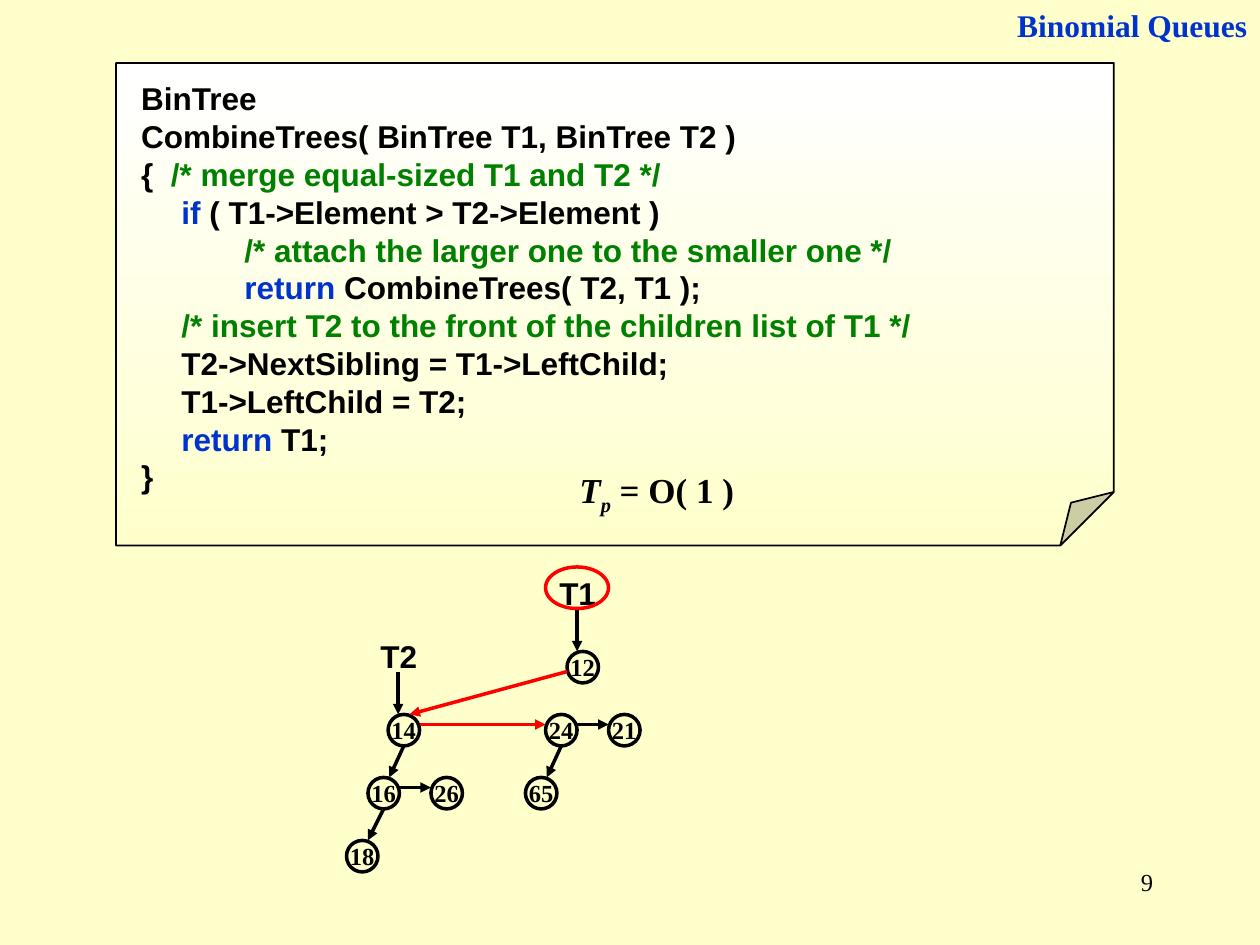
from pptx import Presentation
from pptx.dml.color import RGBColor
from pptx.enum.shapes import MSO_CONNECTOR as Connector, MSO_SHAPE as Shape
from pptx.enum.text import MSO_ANCHOR as Anchor, MSO_AUTO_SIZE as AutoSize, PP_ALIGN as Align
from pptx.oxml.ns import qn
from pptx.util import Inches, Pt
from lxml.etree import SubElement

COLORS = {
    "cream": "FFFFCC", "white": "FFFFFF", "black": "000000",
    "blue": "0033CC", "green": "008000", "red": "FF0000",
}
SERIF, SANS = "Times New Roman", "Arial"
NODE = 0.25

CODE = [
    [("BinTree", "black")],
    [("CombineTrees( BinTree T1, BinTree T2 )", "black")],
    [("{  ", "black"), ("/* merge equal-sized T1 and T2 */", "green")],
    [("\t", "black"), ("if", "blue"), (" ( T1->Element > T2->Element )", "black")],
    [("\t\t/* attach the larger one to the smaller one */", "green")],
    [("\t\t", "black"), ("return", "blue"), (" CombineTrees( T2, T1 );", "black")],
    [("\t/* insert T2 to the front of the children list of T1 */", "green")],
    [("\tT2->NextSibling = T1->LeftChild;", "black")],
    [("\tT1->LeftChild = T2;", "black")],
    [("\t", "black"), ("return", "blue"), (" T1;", "black")],
    [("}", "black")],
]
NODES = {
    "12": (4.5, 5.17), "24": (4.33, 5.67), "21": (4.83, 5.67), "65": (4.17, 6.17),
    "14": (3.08, 5.67), "16": (2.92, 6.17), "26": (3.42, 6.17), "18": (2.75, 6.67),
}
ROOTS = {"T1": "12", "T2": "14"}
CHILDREN = [("24", "65"), ("14", "16"), ("16", "18")]
SIBLINGS = [("24", "21"), ("16", "26")]


def rgb(name):
    """Return the named colour."""
    return RGBColor.from_string(COLORS[name])


def add_span(para, text, size, font=SERIF, color="black", bold=True, italic=False):
    """Append a formatted run to a paragraph."""
    span = para.add_run()
    span.text = text
    span.font.size = Pt(size)
    span.font.name = font
    span.font.bold = bold
    span.font.italic = italic
    span.font.color.rgb = rgb(color)
    return span


def add_label(page, left, top, width, height, wrap=False):
    """Add a text box and return its first paragraph."""
    box = page.shapes.add_textbox(Inches(left), Inches(top), Inches(width), Inches(height))
    box.text_frame.word_wrap = wrap
    return box.text_frame.paragraphs[0]


def add_outline(page, kind, left, top, width, height, color="black", weight=2):
    """Add an unfilled, outlined preset shape."""
    shape = page.shapes.add_shape(
        kind, Inches(left), Inches(top), Inches(width), Inches(height))
    shape.shadow.inherit = False
    shape.fill.background()
    shape.line.color.rgb = rgb(color)
    shape.line.width = Pt(weight)
    return shape


def add_arrow(page, start, end, color="black"):
    """Add a straight arrow between two points."""
    ends = [Inches(value) for value in (*start, *end)]
    arrow = page.shapes.add_connector(Connector.STRAIGHT, *ends)
    arrow.line.color.rgb = rgb(color)
    arrow.line.width = Pt(2)
    SubElement(arrow.line._get_or_add_ln(), qn("a:tailEnd"), type="triangle")
    SubElement(arrow._element.spPr, qn("a:effectLst"))


def add_title(page):
    """Place the heading in the title placeholder."""
    title = page.shapes.title
    title.left, title.top = Inches(7.42), Inches(0)
    title.width, title.height = Inches(2.58), Inches(0.4)
    frame = title.text_frame
    frame.auto_size = AutoSize.NONE
    frame.vertical_anchor = Anchor.TOP
    para = frame.paragraphs[0]
    para.alignment = Align.RIGHT
    add_span(para, "Binomial Queues", 18, color="blue")


def add_code_para(frame, index, spans):
    """Write one line of code with its tab stops."""
    para = frame.add_paragraph() if index else frame.paragraphs[0]
    para.alignment = Align.LEFT
    props = para._p.get_or_add_pPr()
    props.set("marL", str(Inches(0.32)))
    props.set("indent", str(Inches(-0.32)))
    tabs = SubElement(props, qn("a:tabLst"))
    for stop in range(8):
        SubElement(tabs, qn("a:tab"), pos=str(Inches(stop)), algn="l")
    for text, color in spans:
        add_span(para, text, 18, SANS, color)


def add_code_note(page):
    """Add the folded note that holds the code."""
    note = add_outline(page, Shape.FOLDED_CORNER, 0.92, 0.5, 7.92, 3.83, weight=1)
    geometry = note._element.spPr.find(qn("a:prstGeom"))
    guides = geometry.find(qn("a:avLst"))
    if guides is None:
        guides = SubElement(geometry, qn("a:avLst"))
    SubElement(guides, qn("a:gd"), name="adj", fmla="val 11100")
    note.fill.gradient()
    note.fill.gradient_angle = 270
    for stop, color in zip(note.fill.gradient_stops, ("white", "cream")):
        stop.color.rgb = rgb(color)
    frame = note.text_frame
    frame.word_wrap = True
    frame.vertical_anchor = Anchor.TOP
    frame.margin_left, frame.margin_top = Inches(0.2), Inches(0.13)
    frame.margin_right, frame.margin_bottom = Inches(0.04), Inches(0.05)
    for index, spans in enumerate(CODE):
        add_code_para(frame, index, spans)


def add_cost(page):
    """Add the running time formula."""
    para = add_label(page, 4.5, 3.67, 1.43, 0.48)
    add_span(para, "T", 20, italic=True)
    subscript = add_span(para, "p", 20, italic=True)
    subscript.font._element.set("baseline", "-25000")
    add_span(para, " = O( 1 )", 20)


def add_node(page, key):
    """Add a numbered tree node."""
    node = add_outline(page, Shape.OVAL, *NODES[key], NODE, NODE)
    frame = node.text_frame
    frame.word_wrap = False
    frame.vertical_anchor = Anchor.MIDDLE
    para = frame.paragraphs[0]
    para.alignment = Align.CENTER
    add_span(para, key, 14)


def add_sibling_arrow(page, first, second, color="black"):
    """Link two nodes of one level."""
    left, top = NODES[first]
    add_arrow(page, (left + NODE, top + 0.08), (NODES[second][0], top + 0.08), color)


def add_trees(page):
    """Draw both trees and the links that merge them."""
    for key in NODES:
        add_node(page, key)
    for parent, child in CHILDREN:
        (left, top), (child_left, child_top) = NODES[parent], NODES[child]
        add_arrow(page, (left + NODE / 2, top + NODE), (child_left + 0.17, child_top))
    for pair in SIBLINGS:
        add_sibling_arrow(page, *pair)
    for name, key in ROOTS.items():
        left, top = NODES[key]
        add_arrow(page, (left + 0.08, top - 0.34), (left + 0.08, top))
        add_span(add_label(page, left - 0.16, top - 0.66, 0.49, 0.4), name, 18, SANS)
    add_sibling_arrow(page, "14", "24", "red")
    add_arrow(page, (4.5, 5.33), (3.25, 5.67), "red")
    add_outline(page, Shape.OVAL, 4.33, 4.5, 0.5, 0.33, "red")


def main():
    """Build and save the slide."""
    deck = Presentation()
    deck.slide_width, deck.slide_height = Inches(10), Inches(7.5)
    page = deck.slides.add_slide(deck.slide_layouts[5])
    page.background.fill.solid()
    page.background.fill.fore_color.rgb = rgb("cream")
    add_title(page)
    number = add_label(page, 7.17, 6.83, 2.08, 0.5, wrap=True)
    number.alignment = Align.RIGHT
    add_span(number, "9", 14, bold=False)
    add_code_note(page)
    add_cost(page)
    add_trees(page)
    deck.save("out.pptx")


main()
